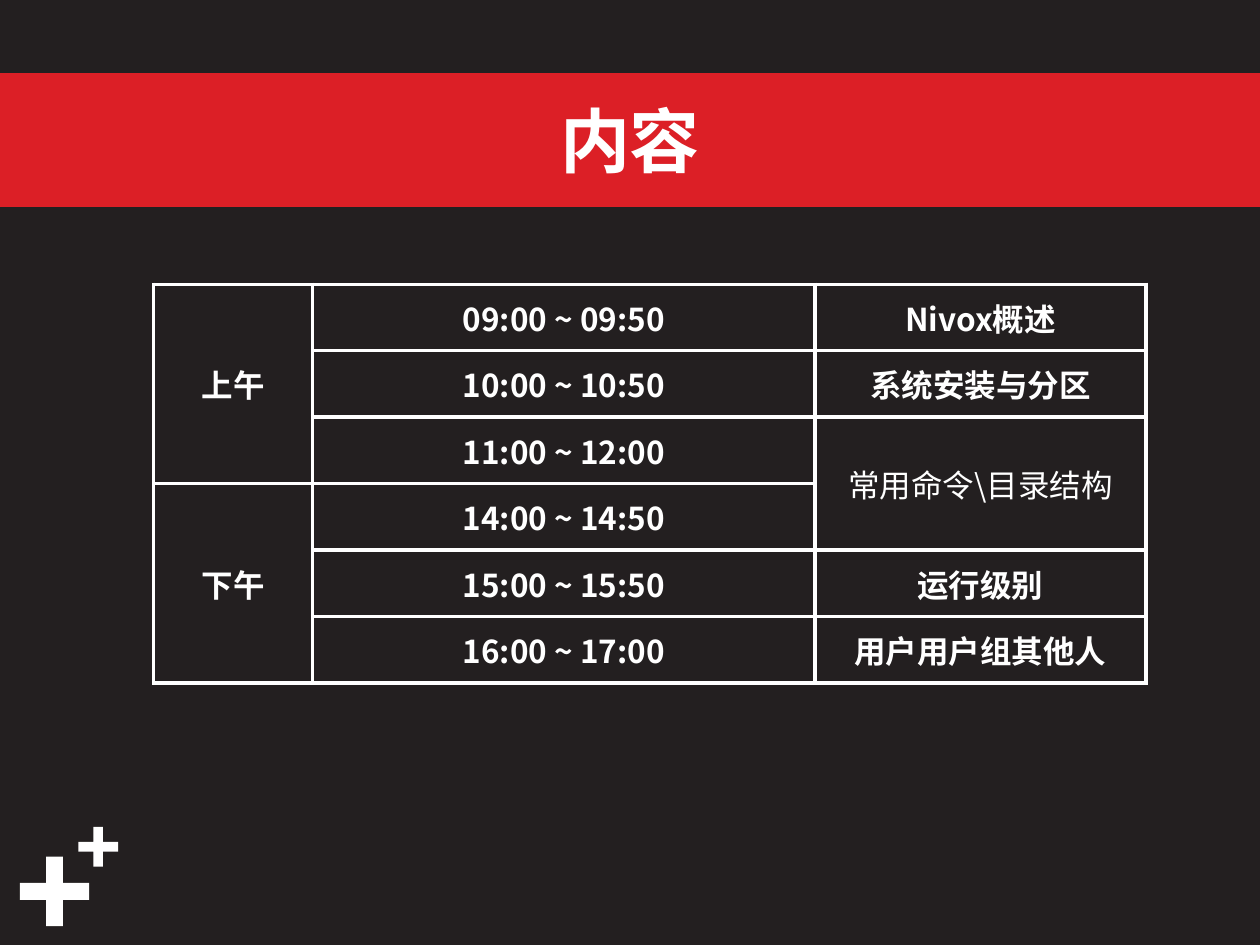
from lxml import etree
from pptx import Presentation
from pptx.dml.color import RGBColor
from pptx.enum import shapes, text
from pptx.oxml.ns import qn
from pptx.util import Cm, Pt

FONT = "Noto Sans CJK SC"
WHITE, RED, DARK = "FFFFFF", "DC1F26", "231F20"


def color(code):
    return RGBColor.from_string(code)


def write(frame, words, size, bold=True):
    par = frame.paragraphs[0]
    par.alignment = text.PP_ALIGN.CENTER
    run = par.add_run()
    run.text = words
    style = {"name": FONT, "size": Pt(size), "bold": bold}
    for key, value in style.items():
        setattr(run.font, key, value)
    run.font.color.rgb = color(WHITE)
    etree.SubElement(run.font._element, qn("a:ea"), typeface=FONT)


deck = Presentation()
deck.slide_width, deck.slide_height = Cm(25.4), Cm(19.05)
slide = deck.slides.add_slide(deck.slide_layouts[6])
slide.background.fill.solid()
slide.background.fill.fore_color.rgb = color(DARK)

# Corner crosses: left, top, side
for left, top, side in [(0.4, 17.27, 1.4), (1.58, 16.67, 0.8)]:
    cross = slide.shapes.add_shape(
        shapes.MSO_SHAPE.CROSS, Cm(left), Cm(top), Cm(side), Cm(side))
    cross.adjustments[0] = 0.378
    cross.shadow.inherit = False
    cross.fill.solid()
    cross.fill.fore_color.rgb = color(WHITE)
    cross.line.fill.background()

# Title band
band = slide.shapes.add_shape(
    shapes.MSO_SHAPE.RECTANGLE, 0, Cm(1.52), Cm(25.4), Cm(2.6))
band.shadow.inherit = False
band.fill.solid()
band.fill.fore_color.rgb = color(RED)
band.line.color.rgb = color(RED)
band.line.width = Pt(3)
band.text_frame.vertical_anchor = text.MSO_ANCHOR.MIDDLE
write(band.text_frame, "内容", 40)

# Timetable
rows = [
    ("上午", "09:00 ~ 09:50", "Nivox概述"),
    ("", "10:00 ~ 10:50", "系统安装与分区"),
    ("", "11:00 ~ 12:00", "常用命令\\目录结构"),
    ("下午", "14:00 ~ 14:50", ""),
    ("", "15:00 ~ 15:50", "运行级别"),
    ("", "16:00 ~ 17:00", "用户用户组其他人"),
]
widths = [3.2, 10.13, 6.67]
high = 1.34
frame = slide.shapes.add_table(
    len(rows), len(widths), Cm(3.1), Cm(5.73),
    Cm(sum(widths)), Cm(high * len(rows)))
table = frame.table
table.first_row = table.horz_banding = False
for col, width in zip(table.columns, widths):
    col.width = Cm(width)
for row in table.rows:
    row.height = Cm(high)

# Merged blocks: first row, last row, column
for first, last, col in [(0, 2, 0), (3, 5, 0), (2, 3, 2)]:
    table.cell(first, col).merge(table.cell(last, col))

for r, row in enumerate(rows):
    for c, words in enumerate(row):
        cell = table.cell(r, c)
        cell.vertical_anchor = text.MSO_ANCHOR.MIDDLE
        props = cell._tc.get_or_add_tcPr()
        for side in "LRTB":
            edge = etree.SubElement(props, qn(f"a:ln{side}"), w=str(Pt(2.25)))
            fill = etree.SubElement(edge, qn("a:solidFill"))
            etree.SubElement(fill, qn("a:srgbClr"), val=WHITE)
        cell.fill.background()
        if words:
            write(cell.text_frame, words, 18, bold="\\" not in words)

deck.save("out.pptx")
